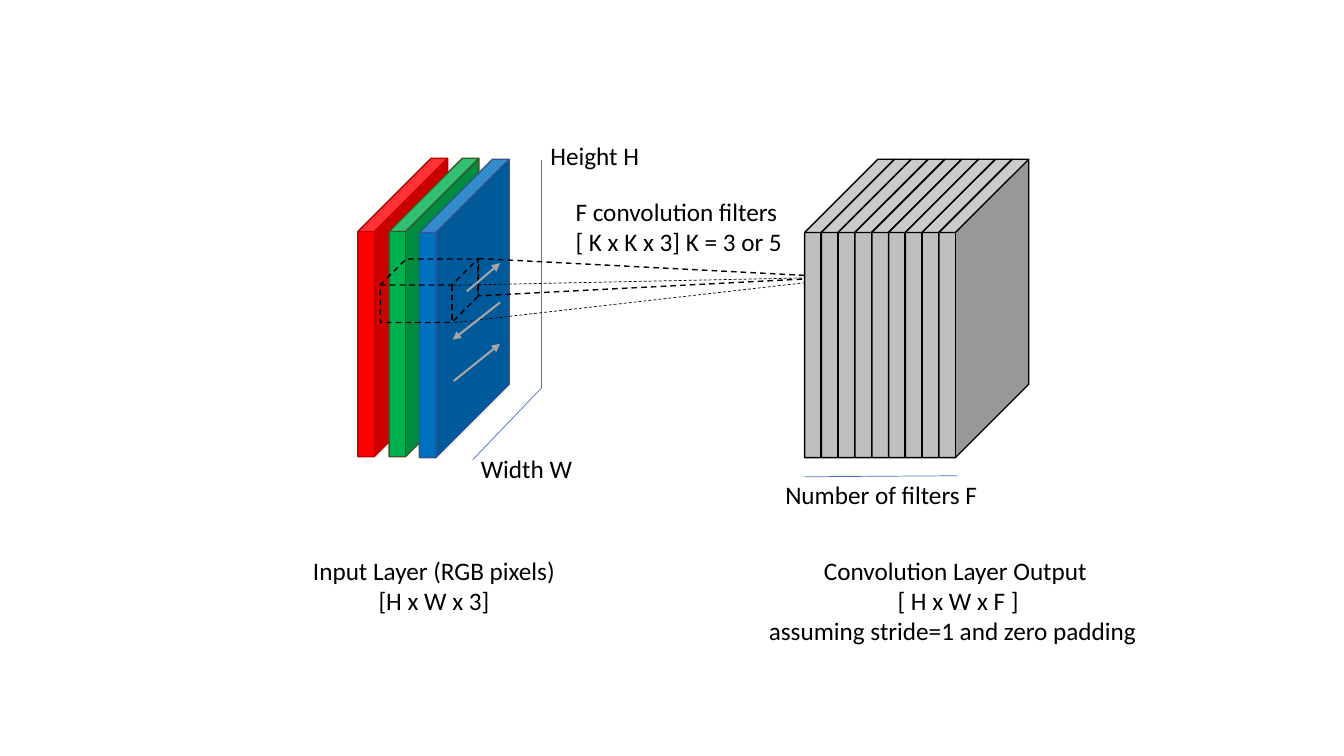
"""Draw a slide that shows how a convolution layer maps RGB input to its output."""
from dataclasses import dataclass
from typing import Optional

from lxml.etree import SubElement as Sub
from pptx import Presentation as Deck
from pptx.dml.color import RGBColor as Color
from pptx.enum.dml import MSO_LINE_DASH_STYLE as Dash
from pptx.enum.shapes import MSO_CONNECTOR_TYPE as Link
from pptx.enum.shapes import MSO_AUTO_SHAPE_TYPE as Kind
from pptx.enum.text import MSO_AUTO_SIZE as Fit
from pptx.enum.text import PP_PARAGRAPH_ALIGNMENT as Align
from pptx.oxml.ns import qn
from pptx.util import Inches, Pt

COLORS = {
    "black": "000000", "guide": "4472C4", "arrow": "A5A5A5", "gray": "BFBFBF",
    "red": "FF0000", "red edge": "C00000",
    "green": "00B050", "green edge": "385723",
    "blue": "0070C0", "blue edge": "325491",
}


@dataclass
class Label:
    text: str
    left: float
    top: float
    width: float
    height: float
    center: bool = False


@dataclass
class Line:
    start: tuple[float, float]
    end: tuple[float, float]
    color: str = "guide"
    weight: float = 0.5
    dash: bool = False
    head: bool = False


@dataclass
class Solid:
    left: float
    top: float
    fill: Optional[str] = None
    edge: str = "black"
    width: float = 0.89
    height: float = 2.96
    kind: Kind = Kind.CUBE
    depth: Optional[float] = 0.817
    turn: float = 0


LABELS = [
    Label("Input Layer (RGB pixels)\n[H x W x 3]", 2.99, 5.46, 2.63, 0.71, True),
    Label("Convolution Layer Output\n [ H x W x F ]\n"
          "assuming stride=1 and zero padding ", 7.5, 5.46, 3.95, 1.01, True),
    Label("Height H", 5.36, 1.34, 1.09, 0.4),
    Label("Width W", 4.67, 4.45, 1.12, 0.4),
    Label("Number of filters F", 7.69, 4.71, 2.13, 0.4),
    Label("F convolution filters\n[ K x K x 3] K = 3 or 5", 5.61, 1.9, 2.28, 0.71),
]
GUIDES = [
    Line((4.69, 4.56), (5.37, 3.85)),
    Line((5.37, 1.59), (5.37, 3.85)),
    Line((7.98, 4.73), (9.49, 4.72)),
]
INPUTS = [
    Solid(3.55, 1.57, "red", "red edge"),
    Solid(3.86, 1.57, "green", "green edge"),
    Solid(4.16, 1.58, "blue", "blue edge"),
]
FILTER = [
    Solid(3.77, 2.57, width=0.97, height=0.63, depth=0.409),
    Solid(6.35, 0.96, width=0.37, height=3.58, kind=Kind.ISOSCELES_TRIANGLE,
          depth=None, turn=90),
]
RAYS = [
    Line((4.51, 3.2), (8.38, 2.76), "black", dash=True),
    Line((4.5, 2.83), (8.32, 2.75), "black", dash=True),
]
OUTPUTS = [Solid(7.98 + step / 6, 1.58, "gray") for step in range(9)]
ARROWS = [
    Line(start, end, "arrow", 1.5, head=True)
    for start, end in [((4.63, 2.89), (4.96, 2.61)),
                       ((4.96, 3), (4.49, 3.37)),
                       ((4.5, 3.78), (4.96, 3.41))]
]


def paint(pen, color: str, weight: float, dash: bool) -> None:
    pen.color.rgb = Color.from_string(COLORS[color])
    pen.width = Pt(weight)
    if dash:
        pen.dash_style = Dash.DASH


def write(frame, text: str, *, size: float = 18, font: str = "Calibri",
          color: str = "black", center: bool = False) -> None:
    frame.word_wrap = False
    frame.auto_size = Fit.SHAPE_TO_FIT_TEXT
    frame.text = text
    for para in frame.paragraphs:
        para.alignment = Align.CENTER if center else Align.LEFT
        for run in para.runs:
            run.font.size = Pt(size)
            run.font.name = font
            run.font.color.rgb = Color.from_string(COLORS[color])


def add_label(slide, label: Label) -> None:
    box = slide.shapes.add_textbox(Inches(label.left), Inches(label.top),
                                   Inches(label.width), Inches(label.height))
    write(box.text_frame, label.text, center=label.center)


def add_line(slide, line: Line) -> None:
    ends = [Inches(value) for value in (*line.start, *line.end)]
    link = slide.shapes.add_connector(Link.STRAIGHT, *ends)
    paint(link.line, line.color, line.weight, line.dash)
    props = link.element.spPr
    if line.head:
        Sub(props.find(qn("a:ln")), qn("a:tailEnd"), type="triangle")
    Sub(props, qn("a:effectLst"))


def add_solid(slide, solid: Solid) -> None:
    shape = slide.shapes.add_shape(solid.kind, Inches(solid.left), Inches(solid.top),
                                   Inches(solid.width), Inches(solid.height))
    shape.shadow.inherit = False
    shape.rotation = solid.turn
    if solid.depth is not None:
        shape.adjustments[0] = solid.depth
    if solid.fill:
        shape.fill.solid()
        shape.fill.fore_color.rgb = Color.from_string(COLORS[solid.fill])
    else:
        shape.fill.background()
    paint(shape.line, solid.edge, 1, solid.fill is None)


def main() -> None:
    deck = Deck()
    deck.slide_width, deck.slide_height = Inches(13.33), Inches(7.5)
    slide = deck.slides.add_slide(deck.slide_layouts[6])
    for item in [*GUIDES, *INPUTS, *FILTER, *RAYS, *OUTPUTS, *LABELS, *ARROWS]:
        if isinstance(item, Label):
            add_label(slide, item)
        elif isinstance(item, Line):
            add_line(slide, item)
        else:
            add_solid(slide, item)
    deck.save("out.pptx")


if __name__ == "__main__":
    main()
